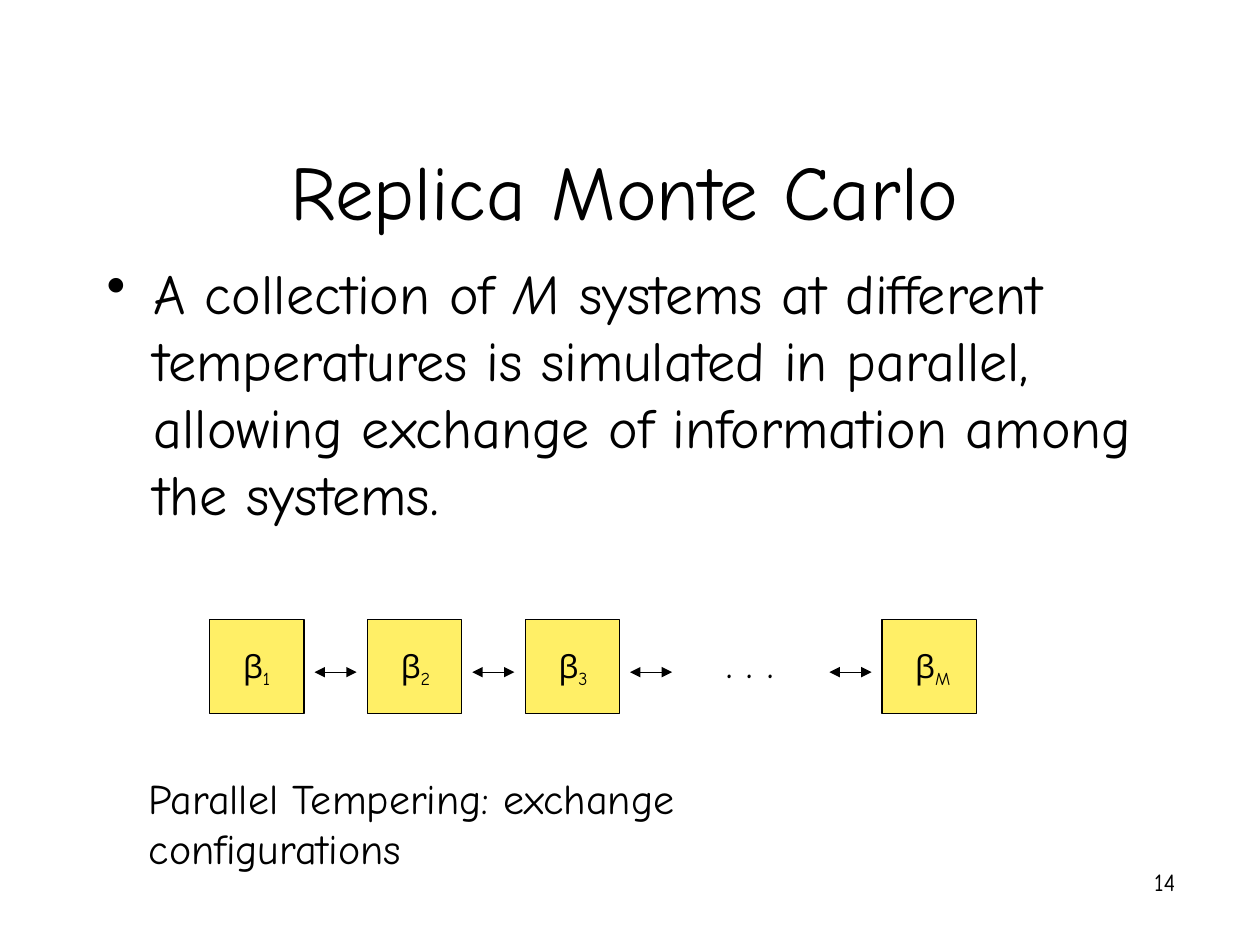
from lxml.etree import SubElement
from pptx import Presentation
from pptx.dml.color import RGBColor
from pptx.enum.shapes import MSO_CONNECTOR, MSO_SHAPE
from pptx.enum.text import MSO_ANCHOR, MSO_AUTO_SIZE, PP_ALIGN
from pptx.oxml.ns import qn
from pptx.util import Cm, Pt

BLACK = RGBColor(0x00, 0x00, 0x00)
YELLOW = RGBColor(0xFF, 0xEF, 0x66)
FONT = "Comic Neue"
LINE_WIDTH = Pt(0.75)


class SlideBuilder:
    """Holds the text style and the current slide."""

    def __init__(self, slide):
        self.slide = slide
        self.style = {"name": FONT, "bold": False}

    def set_runs(self, tf, runs, size, align=PP_ALIGN.LEFT):
        """Fill a frame with runs given as (text, extra font values)."""
        tf.word_wrap = True
        tf.auto_size = MSO_AUTO_SIZE.NONE
        p = tf.paragraphs[0]
        p.alignment = align
        for text, extra in runs:
            r = p.add_run()
            r.text = text
            for key, value in {**self.style, "size": Pt(size), **extra}.items():
                setattr(r.font, key, value)
            r.font.color.rgb = BLACK
        return p

    def title(self, box, text, size):
        sp = self.slide.shapes.title
        sp.left, sp.top, sp.width, sp.height = map(Cm, box)
        sp.text_frame.vertical_anchor = MSO_ANCHOR.BOTTOM
        self.set_runs(sp.text_frame, [(text, {})], size, PP_ALIGN.CENTER)

    def text(self, box, runs, size, align=PP_ALIGN.LEFT):
        sp = self.slide.shapes.add_textbox(*map(Cm, box))
        return self.set_runs(sp.text_frame, runs, size, align)

    def bullet(self, box, runs, size, indent):
        pPr = self.text(box, runs, size)._p.get_or_add_pPr()
        pPr.set("marL", str(Cm(indent)))
        pPr.set("indent", str(-Cm(indent)))
        SubElement(pPr, qn("a:buChar"), char="•")

    def square(self, left, top, side):
        sp = self.slide.shapes.add_shape(
            MSO_SHAPE.RECTANGLE, *map(Cm, (left, top, side, side)))
        sp.shadow.inherit = False
        sp.fill.solid()
        sp.fill.fore_color.rgb = YELLOW
        sp.line.color.rgb = BLACK
        sp.line.width = LINE_WIDTH

    def beta(self, box, index, size):
        p = self.text(box, [("β", {}), (index, {})], size)
        p.runs[1]._r.get_or_add_rPr().set("baseline", "-25000")

    def double_arrow(self, left, y, length):
        cxn = self.slide.shapes.add_connector(
            MSO_CONNECTOR.STRAIGHT, *map(Cm, (left, y, left + length, y)))
        cxn.line.color.rgb = BLACK
        cxn.line.width = LINE_WIDTH
        spPr = cxn._element.spPr
        ln = spPr.get_or_add_ln()
        for end in ("a:headEnd", "a:tailEnd"):
            SubElement(ln, qn(end), type="triangle")
        SubElement(spPr, qn("a:effectLst"))


def main():
    prs = Presentation()
    prs.slide_width, prs.slide_height = Cm(25.4), Cm(19.05)
    b = SlideBuilder(prs.slides.add_slide(prs.slide_layouts[5]))

    # Title and main statement
    b.title((1.9, 0.43, 21.39, 4.45), "Replica Monte Carlo", 44)
    b.bullet((1.9, 5.08, 21.39, 10.16), [
        ("A collection of ", {}),
        ("M", {"italic": True}),
        (" systems at different temperatures is simulated in parallel, "
         "allowing exchange of information among the systems.", {}),
    ], 32, 0.95)

    # Row of systems
    first, pitch, last = 4.23, 3.18, 17.78
    top, side = 12.49, 1.9
    lefts = [first + i * pitch for i in range(3)] + [last]
    for left, index in zip(lefts, "123M"):
        b.square(left, top, side)
        b.beta((left + 0.42, top + 0.42, 1.27, 1.12), index, 18)
    b.text((14.39, 12.7, 3.18, 1.27), [(". . .", {})], 24)

    # Exchanges: after each of the first three systems and before the last
    gap, length = 0.21, 0.85
    starts = [left + side + gap for left in lefts[:3]] + [last - gap - length]
    for start in starts:
        b.double_arrow(start, 13.55, length)

    # Caption and page number
    b.text((2.75, 15.45, 12.07, 2.29),
           [("Parallel Tempering: exchange configurations", {})], 24)
    b.text((18.67, 17.35, 5.28, 1.27), [("14", {})], 14, PP_ALIGN.RIGHT)

    prs.save("out.pptx")


if __name__ == "__main__":
    main()
